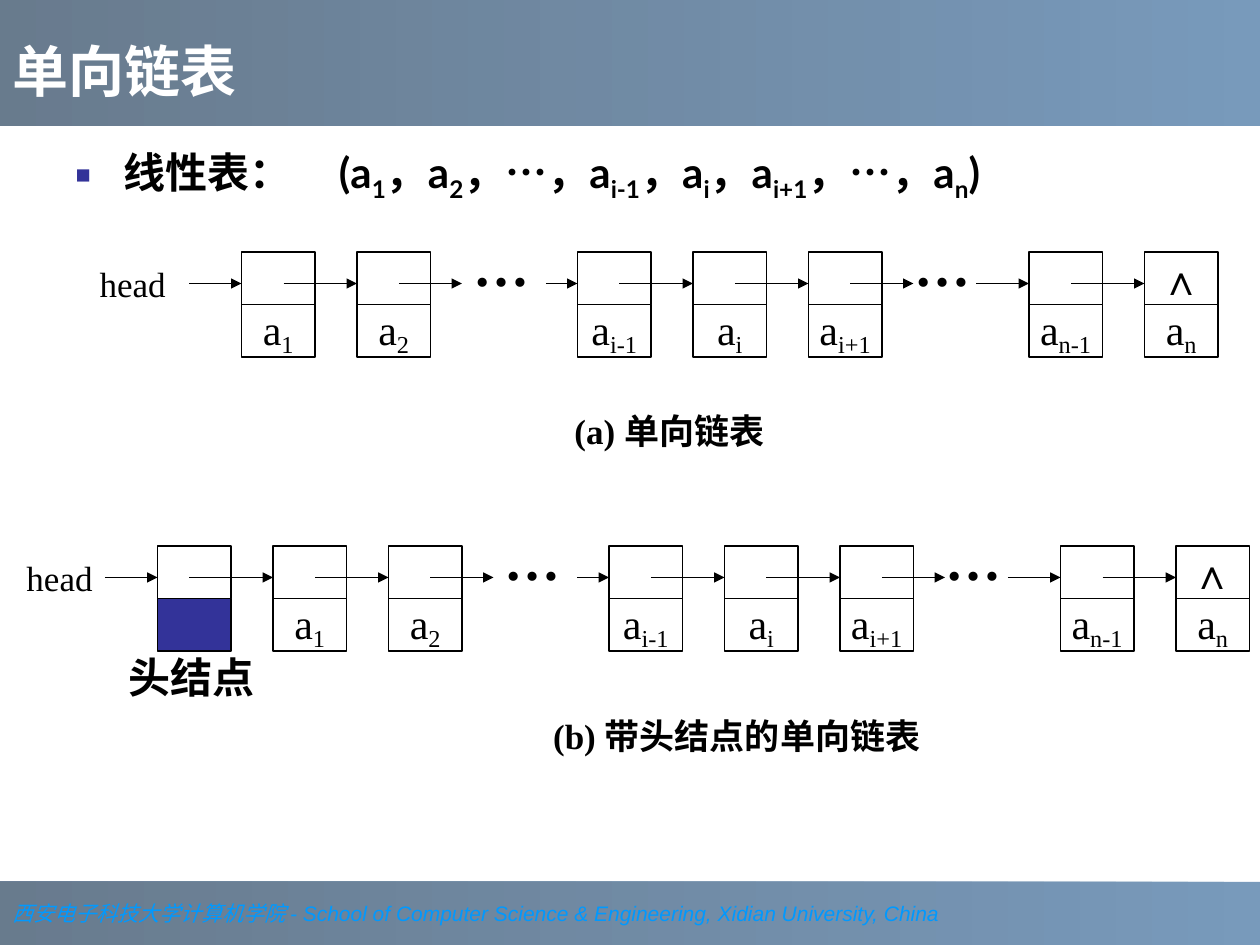
from dataclasses import dataclass

from lxml import etree
from pptx import Presentation
from pptx.dml.color import RGBColor
from pptx.enum.shapes import MSO_CONNECTOR, MSO_SHAPE
from pptx.enum.text import MSO_ANCHOR, MSO_AUTO_SIZE, PP_ALIGN
from pptx.oxml.ns import qn
from pptx.util import Inches, Pt

RECTANGLE = MSO_SHAPE.RECTANGLE
STRAIGHT = MSO_CONNECTOR.STRAIGHT
LEFT, CENTER = PP_ALIGN.LEFT, PP_ALIGN.CENTER
TOP, MIDDLE, BOTTOM = MSO_ANCHOR.TOP, MSO_ANCHOR.MIDDLE, MSO_ANCHOR.BOTTOM


@dataclass(frozen=True)
class Theme:
    black: str = "000000"
    white: str = "FFFFFF"
    accent: str = "333399"
    footer: str = "0099FF"
    bar_light: str = "336699"
    bar_dark: str = "1B3753"
    bar_opacity: int = 66000
    heading_font: str = "Lato"
    text_font: str = "Times New Roman"
    footer_font: str = "Arial"
    title_size: int = 32
    item_size: int = 24
    label_size: int = 20
    footer_size: int = 12


THEME = Theme()

# The diagrams sit on a grid of twelfths of an inch
GRID = 1 / 12
CELL_WIDTH, CELL_HEIGHT = 7 * GRID, 5 * GRID
ARROW_DROP = 3 * GRID
ARROW_START = 4 * GRID
# Each node: subscript, offset in grid steps, text of its pointer cell
NODES = [("1", 0, ""), ("2", 11, ""), ("i-1", 32, ""), ("i", 43, ""),
         ("i+1", 54, ""), ("n-1", 75, ""), ("n", 86, "∧")]
# Before each gap: index of the node, ellipsis offset, length of next arrow
GAPS = {1: (4, 3), 4: (3, 5)}


def add_child(parent, tag, **attributes):
    return etree.SubElement(parent, qn(tag), attributes)


def style_span(span, size, font, color, bold=False, italic=False):
    span.font.size = Pt(size)
    span.font.name = font
    span.font.color.rgb = RGBColor.from_string(color)
    span.font.bold = bold
    span.font.italic = italic


def write_subscripted(para, parts, offset, **style):
    """Write spans that are in turn normal and lowered."""
    for index, part in enumerate(parts):
        span = para.add_run()
        span.text = part
        style_span(span, **style)
        if index % 2:
            span.font._element.set("baseline", str(offset))


def set_indent(para, margin, first=0.0):
    properties = para._p.get_or_add_pPr()
    properties.set("marL", str(Inches(margin)))
    properties.set("indent", str(Inches(first)))


def place(shape, box):
    shape.left, shape.top, shape.width, shape.height = map(Inches, box)


def add_box(parent, box, fill=THEME.white):
    shape = parent.add_shape(RECTANGLE, *map(Inches, box))
    shape.shadow.inherit = False
    shape.fill.solid()
    shape.fill.fore_color.rgb = RGBColor.from_string(fill)
    shape.line.color.rgb = RGBColor.from_string(THEME.black)
    shape.line.width = Pt(0.75)
    shape.text_frame.word_wrap = False
    shape.text_frame.vertical_anchor = MIDDLE
    shape.text_frame.paragraphs[0].alignment = CENTER
    return shape


def add_label(parent, box, text, size, margin, first=0.0, bold=True, anchor=MIDDLE):
    frame = parent.add_textbox(*map(Inches, box)).text_frame
    frame.word_wrap = True
    frame.vertical_anchor = anchor
    frame.margin_left = frame.margin_right = 0
    frame.margin_top = frame.margin_bottom = 0
    para = frame.paragraphs[0]
    para.text = text
    set_indent(para, margin, first)
    style_span(para.runs[0], size, THEME.text_font, THEME.black, bold)


def add_arrow(parent, start, end, y):
    arrow = parent.add_connector(STRAIGHT, *map(Inches, (start, y, end, y)))
    arrow.line.color.rgb = RGBColor.from_string(THEME.black)
    arrow.line.width = Pt(0.75)
    add_child(arrow.line._get_or_add_ln(), "a:tailEnd", type="triangle")
    add_child(arrow._element.spPr, "a:effectLst")


def add_bar(page, box):
    bar = page.shapes.add_shape(RECTANGLE, *map(Inches, box))
    bar.shadow.inherit = False
    bar.line.fill.background()
    bar.fill.gradient()
    bar.fill.gradient_angle = 180
    for stop, color in zip(bar.fill.gradient_stops, (THEME.bar_light, THEME.bar_dark)):
        stop.color.rgb = RGBColor.from_string(color)
    for color in bar._element.spPr.iter(qn("a:srgbClr")):
        add_child(color, "a:alpha", val=str(THEME.bar_opacity))
    return bar


def add_footer(page, box):
    frame = add_bar(page, box).text_frame
    frame.word_wrap = False
    frame.vertical_anchor = MIDDLE
    para = frame.paragraphs[0]
    para.alignment = LEFT
    for text, font in (
        ("西安电子科技大学计算机学院 ", THEME.text_font),
        ("- School of Computer Science & Engineering, Xidian University, China",
         THEME.footer_font),
    ):
        span = para.add_run()
        span.text = text
        style_span(span, THEME.footer_size, font, THEME.footer, italic=True)


def fill_title(page, box):
    title = page.shapes.title
    place(title, box)
    page.shapes._spTree.append(title._element)  # in front of the bar
    frame = title.text_frame
    frame.text = "单向链表"
    frame.auto_size = MSO_AUTO_SIZE.NONE
    frame.vertical_anchor = BOTTOM
    para = frame.paragraphs[0]
    para.alignment = LEFT
    style_span(para.runs[0], THEME.title_size, THEME.heading_font, THEME.white, True)


def fill_body(page, box):
    body = page.placeholders[1]
    place(body, box)
    body.text_frame.auto_size = MSO_AUTO_SIZE.NONE
    para = body.text_frame.paragraphs[0]
    para.space_before = Pt(0)
    set_indent(para, 0.38, -0.38)
    properties = para._p.get_or_add_pPr()
    add_child(add_child(properties, "a:buClr"), "a:srgbClr", val=THEME.accent)
    add_child(properties, "a:buSzPct", val="60000")
    add_child(properties, "a:buFont", typeface=THEME.footer_font)
    add_child(properties, "a:buChar", char="■")
    tabs = add_child(properties, "a:tabLst")
    add_child(tabs, "a:tab", pos=str(Inches(2.09)), algn="l")
    parts = ["线性表：\t(a", "1", "，a", "2", "，…，a", "i-1", "，a", "i",
             "，a", "i+1", "，…，a", "n", ")"]
    write_subscripted(para, parts, -25000, size=THEME.item_size,
                      font=THEME.heading_font, color=THEME.black, bold=True)


def add_linked_list(page, left, top, head_left, with_head_node=False):
    """Draw a chain whose first data node has its corner at left, top."""
    group = page.shapes.add_group_shape().shapes
    arrow_y = top + ARROW_DROP
    entry = left

    # Head node and head pointer
    if with_head_node:
        entry = left - 11 * GRID
        add_box(group, (entry, top + CELL_HEIGHT, CELL_WIDTH, CELL_HEIGHT), THEME.accent)
        add_box(group, (entry, top, CELL_WIDTH, CELL_HEIGHT))
        add_arrow(group, entry + 3 * GRID, left, arrow_y)
    add_label(group, (head_left, top + GRID, 10 * GRID, 4 * GRID), "head",
              THEME.label_size, 0.21, bold=False)
    add_arrow(group, entry - 5 * GRID, entry, arrow_y)

    # Pointer cell above data cell, then the arrow to the next node
    for index, (subscript, offset, mark) in enumerate(NODES):
        x = left + offset * GRID
        pointer = add_box(group, (x, top, CELL_WIDTH, CELL_HEIGHT))
        data = add_box(group, (x, top + CELL_HEIGHT, CELL_WIDTH, CELL_HEIGHT))
        for cell, parts in ((pointer, [mark] if mark else []), (data, ["a", subscript])):
            write_subscripted(cell.text_frame.paragraphs[0], parts, -20000,
                              size=THEME.item_size, font=THEME.text_font,
                              color=THEME.black)
        if index in GAPS:
            dots, lead = GAPS[index]
            following = left + NODES[index + 1][1] * GRID
            add_arrow(group, x + ARROW_START, x + 10 * GRID, arrow_y)
            add_label(group, (x + dots * GRID, top - 2 * GRID, 14 * GRID, 0.53), "…",
                      THEME.title_size, 0.9, -0.31, anchor=TOP)
            add_arrow(group, following - lead * GRID, following, arrow_y)
        elif index < len(NODES) - 1:
            add_arrow(group, x + ARROW_START, x + 11 * GRID, arrow_y)


def main():
    deck = Presentation()
    deck.slide_width, deck.slide_height = Inches(10), Inches(7.5)
    page = deck.slides.add_slide(deck.slide_layouts[1])

    add_footer(page, (0, 7, 10, 0.5))
    add_bar(page, (0, 0, 10, 1))
    fill_title(page, (0, 0.2, 9.33, 0.67))
    fill_body(page, (0.5, 1.11, 8.82, 0.86))

    add_linked_list(page, 23 * GRID, 2, 0.58)
    add_label(page.shapes, (4.35, 3.25, 2.07, 0.33), "(a) 单向链表", THEME.label_size, 0.21)
    add_linked_list(page, 26 * GRID, 52 * GRID, 0, with_head_node=True)
    add_label(page.shapes, (0.92, 5.17, 1.33, 0.58), "头结点", THEME.item_size, 0.1, anchor=TOP)
    add_label(page.shapes, (4.18, 5.67, 3.32, 0.33), "(b) 带头结点的单向链表",
              THEME.label_size, 0.21)
    deck.save("out.pptx")


if __name__ == "__main__":
    main()
